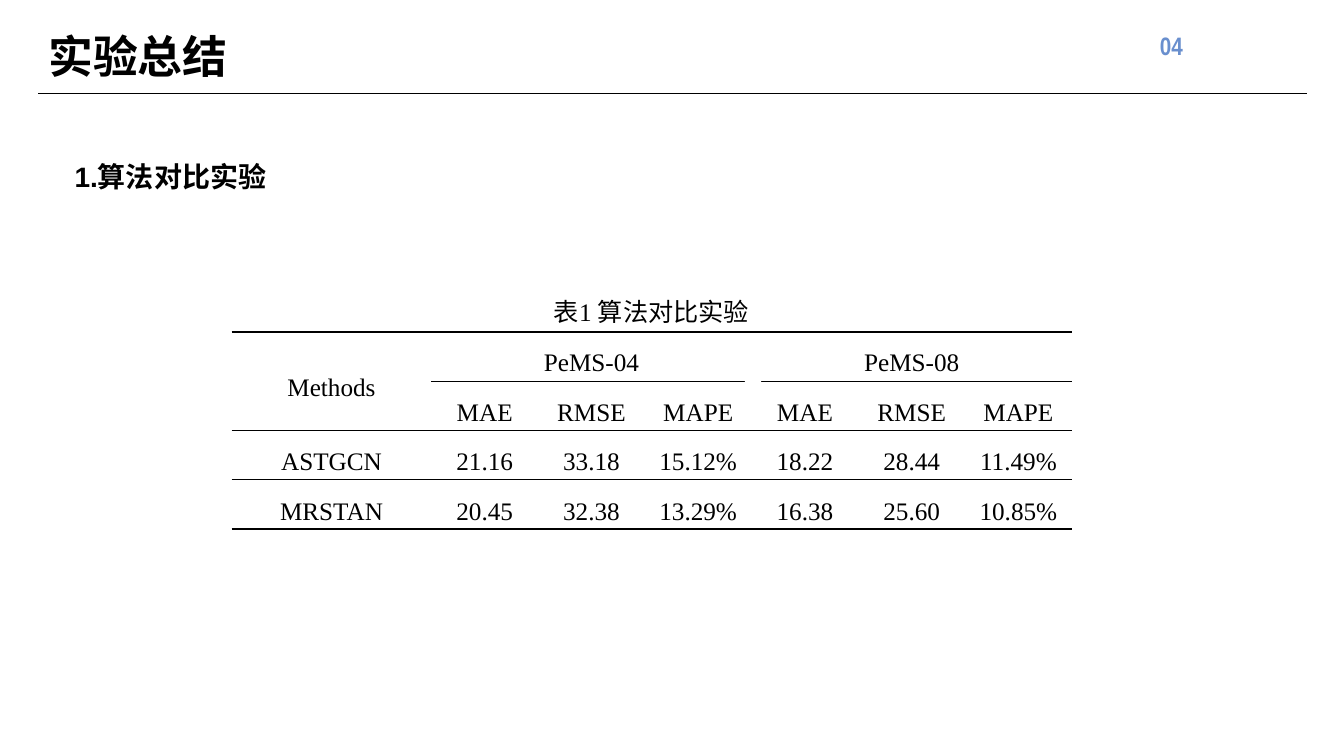
from lxml.etree import SubElement
from pptx import Presentation
from pptx.dml.color import RGBColor as Rgb
from pptx.enum.shapes import MSO_CONNECTOR as Link, MSO_SHAPE as Shape
from pptx.enum.text import MSO_ANCHOR as Anchor, PP_ALIGN as Align
from pptx.oxml import parse_xml
from pptx.oxml.ns import nsdecls, qn
from pptx.util import Cm, Pt

COLORS = {"ink": "000000", "paper": "FFFFFF", "page": "698FCE"}
SERIF = "Times New Roman"
PLAIN = "{2D5ABB26-0587-4C30-8999-92F81FD0307C}"  # no style, no grid

ROWS = [
    ["Methods", "PeMS-04", "", "", "PeMS-08", "", ""],
    [""] + ["MAE", "RMSE", "MAPE"] * 2,
    ["ASTGCN", "21.16", "33.18", "15.12%", "18.22", "28.44", "11.49%"],
    ["MRSTAN", "20.45", "32.38", "13.29%", "16.38", "25.60", "10.85%"],
]
SPANS = [(0, 0, 1, 0), (0, 1, 0, 3), (0, 4, 0, 6)]
RULES = [1.5, 0.75, 0.75, 0.75, 1.5]


def write(frame, text, size=18, font="Arial", color="ink", bold=False,
          align=Align.LEFT, gap=None):
    para = frame.paragraphs[0]
    para.alignment = align
    if gap:
        para.line_spacing = gap
    run = para.add_run()
    run.text = text
    run.font.size = Pt(size)
    run.font.name = font
    run.font.bold = bold
    run.font.color.rgb = Rgb.from_string(COLORS[color])


def edge(cell, widths):
    """Draw the cell's borders; a width of 0 means no line."""
    props = cell._tc.get_or_add_tcPr()
    for spot, (side, width) in enumerate(widths.items()):
        fill = (f'<a:solidFill><a:srgbClr val="{COLORS["ink"]}"/></a:solidFill>'
                if width else "<a:noFill/>")
        props.insert(spot, parse_xml(
            f'<a:ln{side} {nsdecls("a")} w="{Pt(width)}">{fill}</a:ln{side}>'))


class Deck:
    def __init__(self):
        self.show = Presentation()
        self.show.slide_width = Cm(33.87)
        self.show.slide_height = Cm(19.05)
        self.slide = self.show.slides.add_slide(self.show.slide_layouts[6])

    def text(self, x, y, w, h, text, anchor=Anchor.TOP, **style):
        box = self.slide.shapes.add_textbox(Cm(x), Cm(y), Cm(w), Cm(h))
        box.text_frame.word_wrap = True
        box.text_frame.vertical_anchor = anchor
        write(box.text_frame, text, **style)

    def line(self, x1, y1, x2, y2, width=1):
        line = self.slide.shapes.add_connector(
            Link.STRAIGHT, Cm(x1), Cm(y1), Cm(x2), Cm(y2))
        line.line.width = Pt(width)
        line.line.color.rgb = Rgb.from_string(COLORS["ink"])
        SubElement(line._element.spPr, qn("a:effectLst"))

    def block(self, x, y, w, h, color):
        block = self.slide.shapes.add_shape(
            Shape.RECTANGLE, Cm(x), Cm(y), Cm(w), Cm(h))
        block.shadow.inherit = False
        block.fill.solid()
        block.fill.fore_color.rgb = Rgb.from_string(COLORS[color])
        block.line.fill.background()

    def table(self, x, y, widths, height, rows):
        frame = self.slide.shapes.add_table(
            len(rows), len(widths), Cm(x), Cm(y),
            Cm(sum(widths)), Cm(height * len(rows)))
        table = frame.table
        table.first_row = table.horz_banding = False
        table._tbl.tblPr.find(qn("a:tableStyleId")).text = PLAIN
        for col, width in zip(table.columns, widths):
            col.width = Cm(width)
        for r, row in enumerate(rows):
            table.rows[r].height = Cm(height)
            for c, text in enumerate(row):
                self.cell(table.cell(r, c), text, RULES[r], RULES[r + 1])
        for top, left, down, right in SPANS:
            table.cell(top, left).merge(table.cell(down, right))

    def cell(self, cell, text, top, base):
        cell.margin_left = cell.margin_right = Cm(0.18)
        cell.margin_top = cell.margin_bottom = Cm(0.05)
        cell.vertical_anchor = Anchor.MIDDLE
        cell.fill.background()
        edge(cell, {"L": 0, "R": 0, "T": top, "B": base})
        if text:
            write(cell.text_frame, text, font=SERIF, align=Align.CENTER, gap=1.5)


def main():
    deck = Deck()

    # Header
    deck.line(0.97, 2.36, 32.94, 2.36)
    deck.text(28.98, 0.64, 2.46, 3.28, "04", font="Arial Narrow",
              color="page", bold=True)
    deck.text(0.97, 0.41, 30.15, 1.8, "实验总结", anchor=Anchor.BOTTOM,
              size=32, bold=True, gap=0.9)

    # Results table, with a gap in the rule between the two data sets
    deck.table(5.84, 8.36, [5.03] + [2.69] * 6, 0.99, ROWS)
    deck.block(18.77, 9.19, 0.41, 0.66, "paper")

    # Heading and caption
    deck.text(1.63, 3.89, 6.5, 1.12, "1.算法对比实验", size=20, bold=True)
    deck.text(7.95, 7.34, 16.94, 1.8, "表1 算法对比实验", font=SERIF,
              align=Align.CENTER)

    deck.show.save("out.pptx")


if __name__ == "__main__":
    main()
